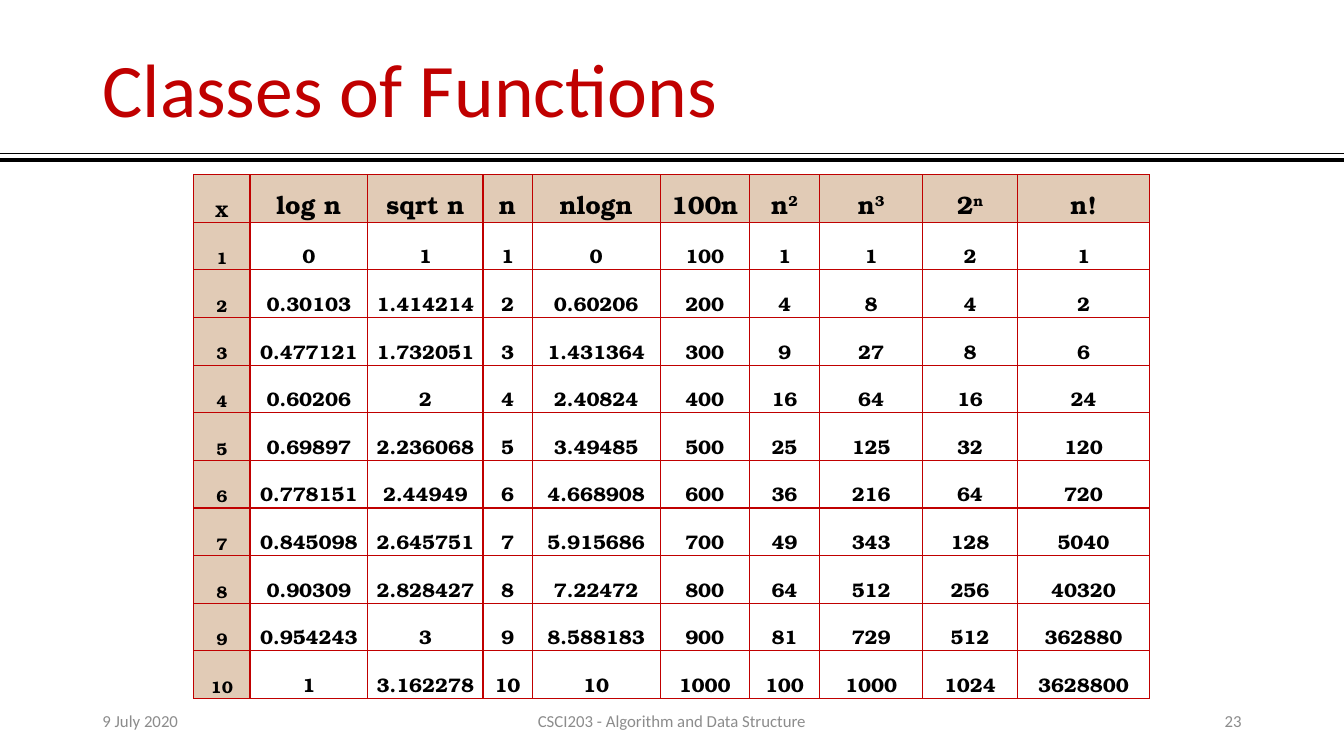
from math import factorial, log10, sqrt

from lxml import etree
from pptx import Presentation
from pptx.dml.color import RGBColor
from pptx.enum.shapes import MSO_CONNECTOR
from pptx.enum.text import MSO_ANCHOR, MSO_AUTO_SIZE, PP_ALIGN
from pptx.oxml.ns import qn
from pptx.util import Cm, Pt

STRAIGHT = MSO_CONNECTOR.STRAIGHT
MIDDLE, BOTTOM = MSO_ANCHOR.MIDDLE, MSO_ANCHOR.BOTTOM
LEFT, CENTER, RIGHT = PP_ALIGN.LEFT, PP_ALIGN.CENTER, PP_ALIGN.RIGHT
NO_AUTOFIT = MSO_AUTO_SIZE.NONE

RED = RGBColor(0xC0, 0x00, 0x00)
BLACK = RGBColor(0x00, 0x00, 0x00)
GRAY = RGBColor(0x8C, 0x8C, 0x8C)
TAN = RGBColor(0xE1, 0xCB, 0xB6)

TEXT_FONT, TABLE_FONT = "Calibri", "TeX Gyre Bonum"
SLIDE_WIDTH, SLIDE_HEIGHT = Cm(33.87), Cm(19.05)
ROW_HEIGHT = Cm(1.2)
COLUMN_WIDTHS = [1.42, 2.97, 2.9, 1.24, 3.23, 2.24, 1.78, 2.59, 2.39, 3.33]
HEADINGS = [("X",), ("log n",), ("sqrt n",), ("n",), ("nlogn",), ("100n",),
            ("n", "2"), ("n", "3"), ("2", "n"), ("n!",)]


def growth_values(n):
    """Return one table row: n and the value of every function at n."""
    values = [n, log10(n), sqrt(n), n, n * log10(n), 100 * n,
              n ** 2, n ** 3, 2 ** n, factorial(n)]
    return [(f"{round(value, 6):.10g}",) for value in values]


def style_font(font, name, size, color, bold=False):
    """Apply typeface, size, colour and weight to a font."""
    font.name, font.size, font.bold = name, Pt(size), bold
    font.color.rgb = color


def add_title(slide, text):
    """Fill and place the title placeholder."""
    title = slide.shapes.title
    title.left, title.top, title.width, title.height = (
        Cm(2.33), Cm(1.01), Cm(29.21), Cm(2.67))
    frame = title.text_frame
    frame.text = text
    frame.auto_size = NO_AUTOFIT
    frame.vertical_anchor = MIDDLE
    heading = frame.paragraphs[0]
    heading.alignment = LEFT
    heading.line_spacing = 0.9
    style_font(heading.runs[0].font, TEXT_FONT, 54, RED)


def add_rule(slide, top, weight):
    """Draw a black line across the whole slide."""
    rule = slide.shapes.add_connector(STRAIGHT, 0, top, SLIDE_WIDTH, top)
    rule.line.color.rgb = BLACK
    rule.line.width = Pt(weight)
    etree.SubElement(rule._element.spPr, qn("a:effectLst"))


def add_footer(slide, text, left, width, alignment):
    """Add one gray text of the footer line."""
    footer = slide.shapes.add_textbox(left, Cm(17.66), width, Cm(1.01))
    frame = footer.text_frame
    frame.word_wrap = True
    frame.vertical_anchor = MIDDLE
    frame.text = text
    frame.paragraphs[0].alignment = alignment
    style_font(frame.paragraphs[0].runs[0].font, TEXT_FONT, 12, GRAY)


def add_borders(cell):
    """Give a cell a thin red line on all four sides."""
    properties = cell._tc.get_or_add_tcPr()
    for side in ("a:lnL", "a:lnR", "a:lnT", "a:lnB"):
        border = etree.SubElement(properties, qn(side), w=str(Pt(1)))
        fill = etree.SubElement(border, qn("a:solidFill"))
        etree.SubElement(fill, qn("a:srgbClr"), val=str(RED))


def fill_cell(cell, parts, size, shaded):
    """Write a base text and an optional superscript into a cell."""
    add_borders(cell)
    if shaded:
        cell.fill.solid()
        cell.fill.fore_color.rgb = TAN
    else:
        cell.fill.background()
    cell.vertical_anchor = BOTTOM
    cell.margin_left = cell.margin_right = cell.margin_top = Cm(0.03)
    cell.margin_bottom = 0
    paragraph = cell.text_frame.paragraphs[0]
    paragraph.alignment = CENTER
    for position, part in enumerate(parts):
        run = paragraph.add_run()
        run.text = part
        style_font(run.font, TABLE_FONT, size, BLACK, bold=True)
        if position == 1:
            run._r.get_or_add_rPr().set("baseline", "30000")


def add_growth_table(slide):
    """Tabulate the functions for n from 1 to 10."""
    rows = [HEADINGS] + [growth_values(n) for n in range(1, 11)]
    table = slide.shapes.add_table(
        len(rows), len(HEADINGS), Cm(4.88), Cm(4.4),
        Cm(sum(COLUMN_WIDTHS)), ROW_HEIGHT * len(rows)).table
    table.first_row = table.horz_banding = False
    for column, width in zip(table.columns, COLUMN_WIDTHS):
        column.width = Cm(width)
    for r, row in enumerate(rows):
        table.rows[r].height = ROW_HEIGHT
        for c, parts in enumerate(row):
            size = 12 if c == 0 else 18 if r == 0 else 14
            fill_cell(table.cell(r, c), parts, size, r == 0 or c == 0)


def main():
    """Build the slide and save it."""
    presentation = Presentation()
    presentation.slide_width = SLIDE_WIDTH
    presentation.slide_height = SLIDE_HEIGHT
    slide = presentation.slides.add_slide(presentation.slide_layouts[5])
    add_rule(slide, Cm(4.03), 3)
    add_rule(slide, Cm(3.87), 1)
    add_title(slide, "Classes of Functions")
    add_growth_table(slide)
    add_footer(slide, "9 July 2020", Cm(2.33), Cm(7.62), LEFT)
    add_footer(slide, "CSCI203 - Algorithm and Data Structure",
               Cm(11.22), Cm(11.43), CENTER)
    add_footer(slide, "23", Cm(23.92), Cm(7.62), RIGHT)
    presentation.save("out.pptx")


if __name__ == "__main__":
    main()
